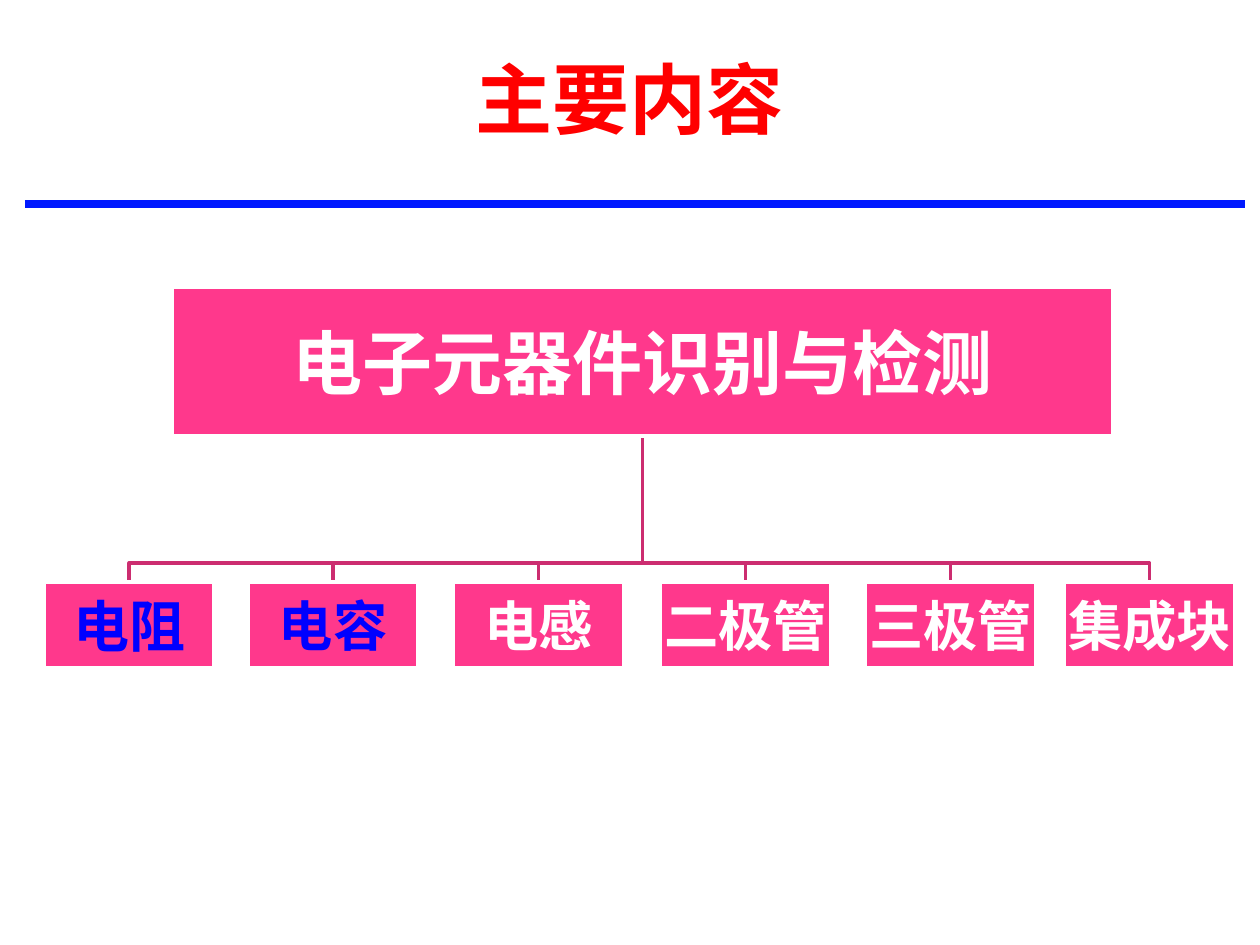
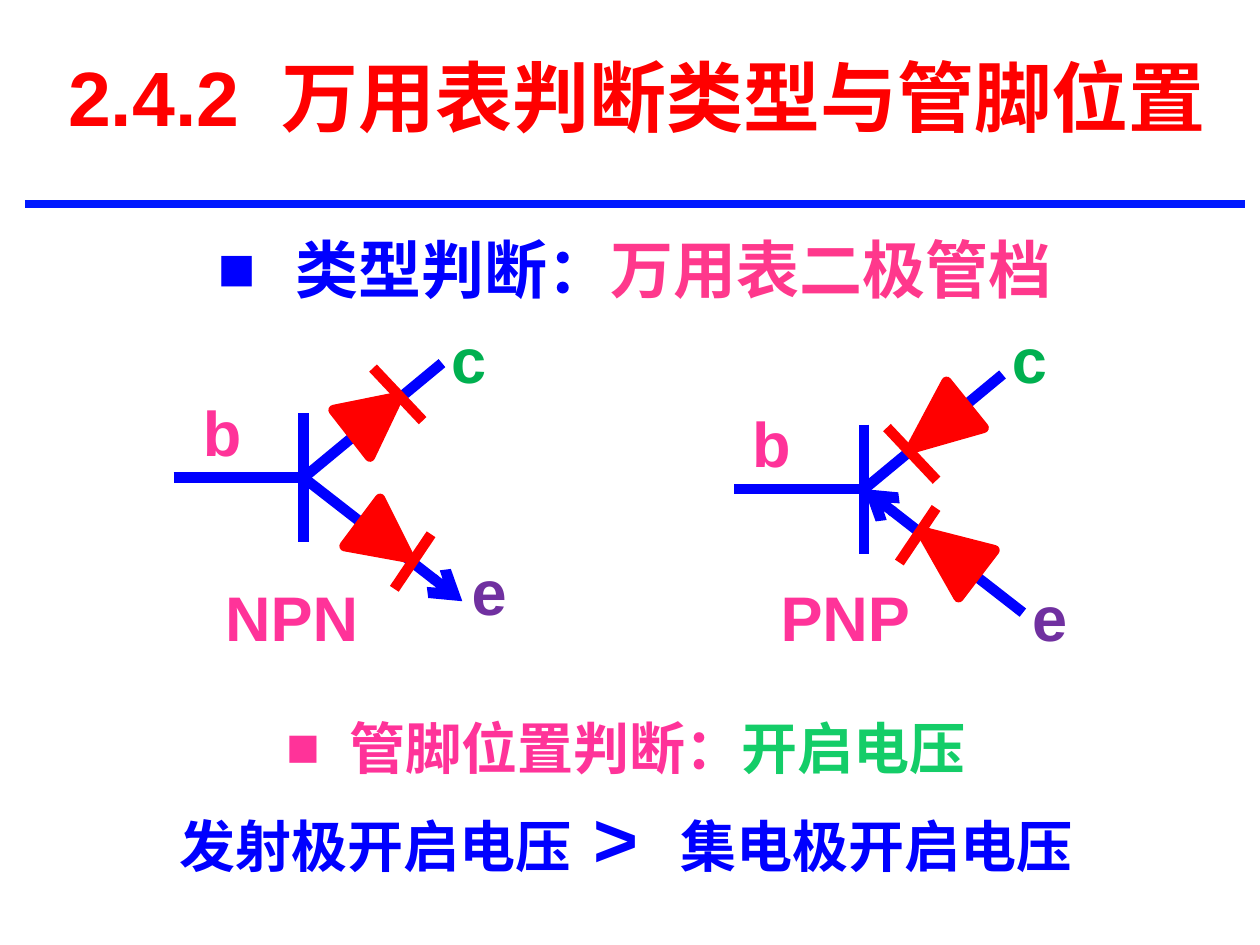
from dataclasses import dataclass

from lxml import etree
from pptx import Presentation
from pptx.dml.color import RGBColor
from pptx.enum.shapes import MSO_CONNECTOR, MSO_SHAPE
from pptx.enum.text import MSO_ANCHOR, MSO_AUTO_SIZE, PP_ALIGN
from pptx.oxml.ns import qn
from pptx.util import Cm, Pt

STRAIGHT = MSO_CONNECTOR.STRAIGHT
RECTANGLE = MSO_SHAPE.RECTANGLE
TRIANGLE = MSO_SHAPE.FLOWCHART_EXTRACT
MIDDLE, TOP = MSO_ANCHOR.MIDDLE, MSO_ANCHOR.TOP
CENTER = PP_ALIGN.CENTER
NO_AUTOFIT = MSO_AUTO_SIZE.NONE

COLORS = {
    "title": "FF0000", "rule": "0019FF", "box": "FF388C", "branch": "CC2D70",
    "white": "FFFFFF", "blue": "0000FF", "red": "FF0000", "pink": "FF3399",
    "purple": "7030A0", "green": "00B050", "voltage": "14CD68",
}
LATIN, CHINESE, BOX_FONT = "Arial", "Noto Sans CJK SC", "Cabin"
Point = tuple[float, float]


@dataclass(frozen=True)
class TextRun:
    text: str
    size: float
    color: str
    font: str = LATIN
    spacing: float = 0  # extra points after each character


@dataclass(frozen=True)
class Topic:
    name: str
    left: float
    color: str = "white"
    size: float = 31


@dataclass(frozen=True)
class Diode:
    center: Point
    rotation: float
    bar_start: Point
    bar_span: Point


@dataclass(frozen=True)
class Label:
    text: str
    center_x: float
    top: float
    color: str


@dataclass(frozen=True)
class Transistor:
    """Positions of its parts are in cm from the junction."""
    junction: Point
    diode_height: float
    diodes: tuple[Diode, ...]
    labels: tuple[Label, ...]
    arrow_leaves: bool


TOPICS = (
    Topic("电阻", 0.89, "blue", 32),
    Topic("电容", 5.0, "blue"),
    Topic("电感", 9.14),
    Topic("二极管", 13.31),
    Topic("三极管", 17.45),
    Topic("集成块", 21.46),
)
TOPIC_TOP, TOPIC_WIDTH, TOPIC_HEIGHT = 11.73, 3.43, 1.73
ROOT_LEFT, ROOT_TOP, ROOT_WIDTH, ROOT_HEIGHT = 3.48, 5.79, 18.95, 3.0
BRANCH_Y = 11.35

COLLECTOR_END, EMITTER_END = (2.79, -2.31), (3.2, 2.49)
BASE_LENGTH, BAR_HALF, DIODE_WIDTH = 2.62, 1.3, 1.19
COLLECTOR_BAR, EMITTER_BAR = (1.0, 1.06), (-0.74, 1.1)
LABEL_HEIGHT, LETTER_WIDTH = 1.8, 1.2

NPN = Transistor(
    (6.12, 9.63), 1.19,
    (Diode((1.44, -1.26), 52, (1.4, -2.21), COLLECTOR_BAR),
     Diode((1.66, 1.26), 126.9, (2.57, 1.14), EMITTER_BAR)),
    (Label("b", -1.64, -1.83, "pink"), Label("c", 3.33, -3.3, "green"),
     Label("e", 3.74, 1.37, "purple"), Label("NPN", -0.24, 1.9, "pink")),
    arrow_leaves=True,
)
PNP = Transistor(
    (17.42, 9.86), 1.4,
    (Diode((1.49, -1.26), 231.1, (0.46, -1.24), COLLECTOR_BAR),
     Diode((1.71, 1.28), 307.4, (1.45, 0.38), EMITTER_BAR)),
    (Label("b", -1.87, -1.83, "pink"), Label("c", 3.33, -3.53, "green"),
     Label("e", 3.74, 1.68, "purple"), Label("PNP", -0.38, 1.68, "pink")),
    arrow_leaves=False,
)


def rgb(name: str) -> RGBColor:
    return RGBColor.from_string(COLORS[name])


def place(shape, left: float, top: float, width: float, height: float) -> None:
    shape.left, shape.top = Cm(left), Cm(top)
    shape.width, shape.height = Cm(width), Cm(height)


def prepare_frame(shape, anchor, side: float = 0.25, edge: float = 0.13):
    frame = shape.text_frame
    frame.word_wrap = True
    frame.auto_size = NO_AUTOFIT
    frame.vertical_anchor = anchor
    frame.margin_left = frame.margin_right = Cm(side)
    frame.margin_top = frame.margin_bottom = Cm(edge)
    return frame


def write(paragraph, *runs: TextRun) -> None:
    paragraph.alignment = CENTER
    for item in runs:
        run = paragraph.add_run()
        run.text = item.text
        font = run.font
        font.name, font.size, font.bold = item.font, Pt(item.size), True
        font.color.rgb = rgb(item.color)
        properties = run._r.get_or_add_rPr()
        etree.SubElement(properties, qn("a:ea"), typeface=CHINESE)
        if item.spacing:
            properties.set("spc", str(round(item.spacing * 100)))


def set_bullet(paragraph, indent: float) -> None:
    """Give a square bullet with a hanging indent, or none when indent is 0."""
    properties = paragraph._p.get_or_add_pPr()
    properties.set("marL", str(Cm(indent)))
    properties.set("indent", str(-Cm(indent)))
    if indent:
        etree.SubElement(properties, qn("a:buFont"), typeface=LATIN)
        etree.SubElement(properties, qn("a:buChar"), char="■")
    else:
        etree.SubElement(properties, qn("a:buNone"))
    paragraph.space_before = Pt(0)


def add_line(slide, start: Point, end: Point, color: str,
             width: float = 6, arrow: bool = False) -> None:
    line = slide.shapes.add_connector(
        STRAIGHT, Cm(start[0]), Cm(start[1]), Cm(end[0]), Cm(end[1]))
    line.line.color.rgb = rgb(color)
    line.line.width = Pt(width)
    properties = line._element.spPr
    if arrow:
        etree.SubElement(properties.find(qn("a:ln")), qn("a:tailEnd"), type="arrow")
    etree.SubElement(properties, qn("a:effectLst"))


def add_filled(slide, kind, box: tuple[float, float, float, float],
               fill: str, outline: str, width: float):
    shape = slide.shapes.add_shape(kind, *(Cm(value) for value in box))
    shape.shadow.inherit = False
    shape.fill.solid()
    shape.fill.fore_color.rgb = rgb(fill)
    shape.line.color.rgb = rgb(outline)
    shape.line.width = Pt(width)
    return shape


def add_titled_slide(deck, layout: int, box: tuple[float, float, float, float],
                     *runs: TextRun):
    slide = deck.slides.add_slide(deck.slide_layouts[layout])
    place(slide.shapes.title, *box)
    write(prepare_frame(slide.shapes.title, MIDDLE).paragraphs[0], *runs)
    add_line(slide, (0.5, 4.11), (25.1, 4.11), "rule", 4.5)
    return slide


def add_box(slide, box: tuple[float, float, float, float], label: TextRun) -> None:
    shape = add_filled(slide, RECTANGLE, box, "box", "white", 2)
    write(prepare_frame(shape, MIDDLE, 0.05, 0.05).paragraphs[0], label)


def add_branch(slide, topic: Topic) -> None:
    root_x = ROOT_LEFT + ROOT_WIDTH / 2
    topic_x = topic.left + TOPIC_WIDTH / 2
    builder = slide.shapes.build_freeform(Cm(root_x), Cm(ROOT_TOP + ROOT_HEIGHT))
    corners = ((root_x, BRANCH_Y), (topic_x, BRANCH_Y), (topic_x, TOPIC_TOP))
    builder.add_line_segments([(Cm(x), Cm(y)) for x, y in corners], close=False)
    branch = builder.convert_to_shape()
    branch.shadow.inherit = False
    branch.fill.background()
    branch.line.color.rgb = rgb("branch")
    branch.line.width = Pt(2)


def add_transistor(slide, part: Transistor) -> None:
    x, y = part.junction

    def at(offset: Point) -> Point:
        return x + offset[0], y + offset[1]

    add_line(slide, at((0, -BAR_HALF)), at((0, BAR_HALF)), "blue")
    add_line(slide, at((-BASE_LENGTH, 0)), part.junction, "blue")
    add_line(slide, part.junction, at(COLLECTOR_END), "blue")
    emitter = (part.junction, at(EMITTER_END))
    start, end = emitter if part.arrow_leaves else emitter[::-1]
    add_line(slide, start, end, "blue", arrow=True)

    for diode in part.diodes:
        center_x, center_y = at(diode.center)
        box = (center_x - DIODE_WIDTH / 2, center_y - part.diode_height / 2,
               DIODE_WIDTH, part.diode_height)
        add_filled(slide, TRIANGLE, box, "red", "red", 6).rotation = diode.rotation
        bar_x, bar_y = at(diode.bar_start)
        span_x, span_y = diode.bar_span
        add_line(slide, (bar_x, bar_y), (bar_x + span_x, bar_y + span_y), "red")

    for label in part.labels:
        width = LETTER_WIDTH * len(label.text)
        left, top = at((label.center_x - width / 2, label.top))
        text_box = slide.shapes.add_textbox(
            Cm(left), Cm(top), Cm(width), Cm(LABEL_HEIGHT))
        write(prepare_frame(text_box, TOP, 0).paragraphs[0],
              TextRun(label.text, 36, label.color))


def build_contents(deck) -> None:
    slide = add_titled_slide(deck, 5, (0, 0, 25.4, 3.94),
                             TextRun("主要内容", 44, "title", CHINESE))
    for topic in TOPICS:
        add_branch(slide, topic)
    add_box(slide, (ROOT_LEFT, ROOT_TOP, ROOT_WIDTH, ROOT_HEIGHT),
            TextRun("电子元器件识别与检测", 40, "white", BOX_FONT))
    for topic in TOPICS:
        add_box(slide, (topic.left, TOPIC_TOP, TOPIC_WIDTH, TOPIC_HEIGHT),
                TextRun(topic.name, topic.size, topic.color, BOX_FONT))


def build_pin_test(deck) -> None:
    slide = add_titled_slide(
        deck, 3, (0.3, 0.13, 25.1, 3.61),
        TextRun("2.4.2", 44, "title"), TextRun(" ", 44, "title", spacing=12),
        TextRun("万用表判断类型与管脚位置", 44, "title"))
    type_test, pin_test = slide.placeholders[1], slide.placeholders[2]

    place(type_test, 3.99, 4.52, 17.6, 1.8)
    heading = prepare_frame(type_test, TOP).paragraphs[0]
    set_bullet(heading, 1.57)
    write(heading, TextRun("类型判断：", 36, "blue"),
          TextRun("万用表二极管档", 36, "box"))

    place(pin_test, 1.9, 14.12, 21.44, 3.84)
    frame = prepare_frame(pin_test, TOP)
    heading, comparison = frame.paragraphs[0], frame.add_paragraph()
    set_bullet(heading, 1.27)
    set_bullet(comparison, 0)
    heading.line_spacing = comparison.line_spacing = 1.1
    write(heading, TextRun("管脚位置判断：", 32, "pink"),
          TextRun("开启电压", 32, "voltage"))
    write(comparison, TextRun("发射极开启电压", 32, "blue"),
          TextRun(" ", 32, "blue", spacing=5), TextRun(">", 44, "blue"),
          TextRun(" ", 44, "blue", spacing=12), TextRun("集电极开启电压", 32, "blue"))

    for part in (NPN, PNP):
        add_transistor(slide, part)


def main() -> None:
    deck = Presentation()
    deck.slide_width, deck.slide_height = Cm(25.4), Cm(19.05)
    build_contents(deck)
    build_pin_test(deck)
    deck.save("out.pptx")


if __name__ == "__main__":
    main()
